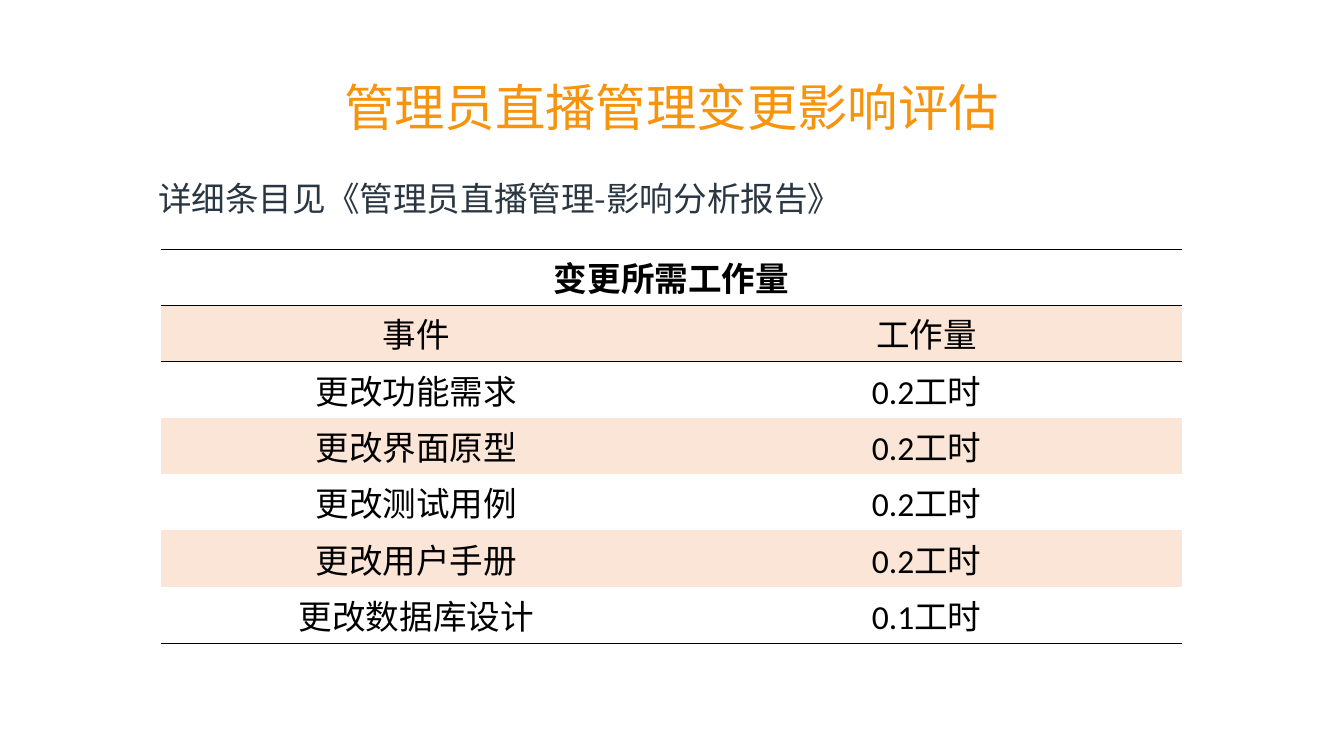
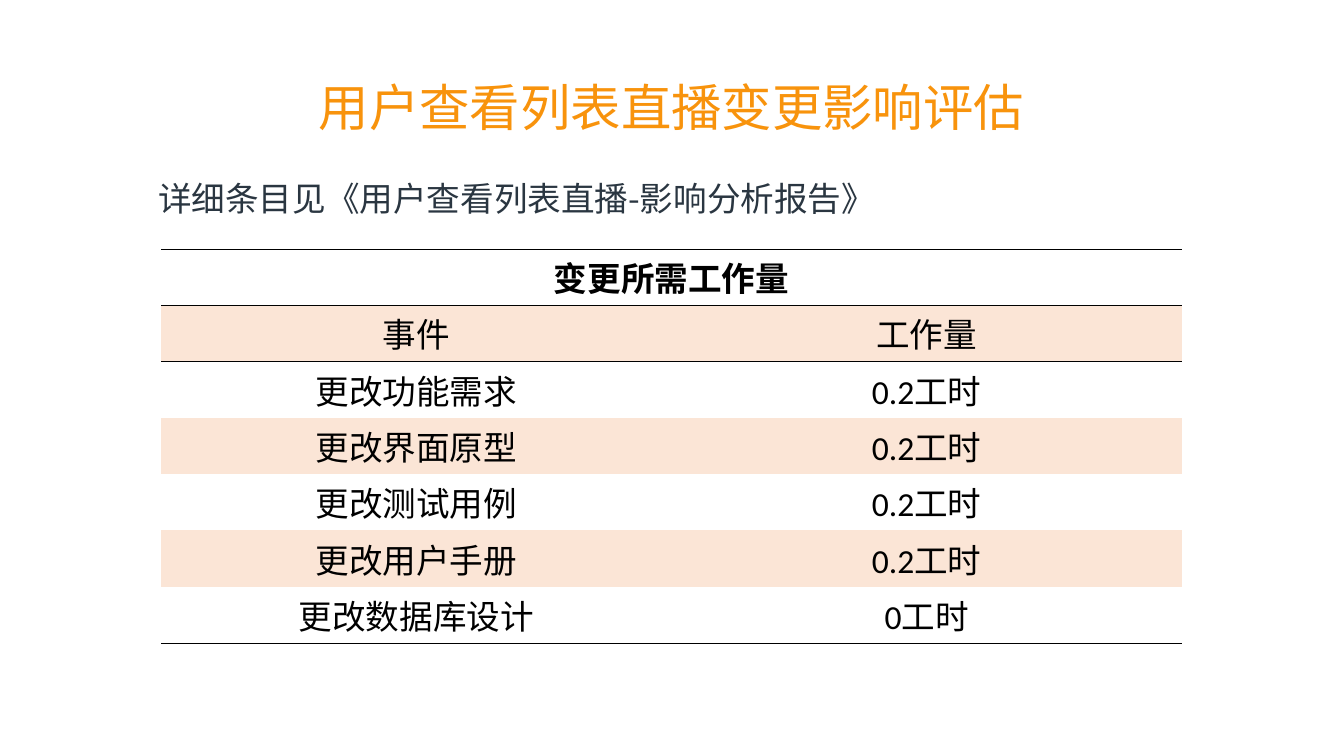
from lxml.etree import SubElement as Sub
from pptx import Presentation
from pptx.dml.color import RGBColor
from pptx.enum.text import MSO_ANCHOR as Anchor, PP_ALIGN as Align
from pptx.oxml.ns import qn
from pptx.util import Inches, Pt

ORANGE = RGBColor(0xF8, 0x93, 0x0C)
SLATE = RGBColor(0x2A, 0x36, 0x41)
BLACK = RGBColor(0, 0, 0)
PEACH = RGBColor(0xFB, 0xE5, 0xD6)
HAN = "Noto Sans CJK SC"
LATIN = "Calibri"
PLAIN = "{2D5ABB26-0587-4C30-8999-92F81FD0307C}"

TITLE_BOX = (2.8, 0.7, 7.73, 0.7)
NOTE_BOX = (1.02, 1.59, 11.29, 0.62)
TABLE_BOX = (1.6, 2.47, 10.13, 3.91)

HEAD = "变更所需工作量"
LABELS = ("事件", "工作量")
TASKS = ("更改功能需求", "更改界面原型", "更改测试用例", "更改用户手册", "更改数据库设计")
PAGES = (
    ("管理员直播管理", ("0.2", "0.2", "0.2", "0.2", "0.1")),
    ("用户查看列表直播", ("0.2", "0.2", "0.2", "0.2", "0")),
)


def write(frame, text, size, color, face=HAN, align=Align.CENTER, bold=False):
    """Set one line of text and format its run."""
    frame.text = text
    para = frame.paragraphs[0]
    para.alignment = align
    run = para.runs[0]
    font = run.font
    font.size, font.bold, font.name = Pt(size), bold, face
    font.color.rgb = color
    Sub(font._element, qn("a:ea")).set("typeface", HAN)
    return para


def add_title(slide, box, text):
    """Move and fill the title placeholder."""
    title = slide.shapes.title
    title.left, title.top, title.width, title.height = map(Inches, box)
    frame = title.text_frame
    frame.vertical_anchor = Anchor.MIDDLE
    frame.word_wrap = True
    write(frame, text, 36, ORANGE)


def add_note(slide, box, text):
    """Add the indented line under the title."""
    frame = slide.shapes.add_textbox(*map(Inches, box)).text_frame
    frame.word_wrap = True
    frame.vertical_anchor = Anchor.MIDDLE
    frame.margin_left = Inches(0.55)
    write(frame, text, 24, SLATE, align=Align.LEFT).line_spacing = 1.3


def add_rule(cell, side):
    """Draw a thin rule on one side of a cell."""
    line = Sub(cell._tc.get_or_add_tcPr(), qn("a:ln" + side), w=str(Pt(0.45)))
    fill = Sub(line, qn("a:solidFill"))
    Sub(fill, qn("a:srgbClr")).set("val", str(BLACK))


def add_grid(slide, box, rows):
    """Add the banded table with a merged heading row."""
    frame = slide.shapes.add_table(len(rows), 2, *map(Inches, box))
    table = frame.table
    table._tbl.tblPr.find(qn("a:tableStyleId")).text = PLAIN
    table.first_row = table.horz_banding = False
    rules = {0: "TB", 1: "T", len(rows) - 1: "B"}
    for i, row in enumerate(rows):
        for j, text in enumerate(row):
            cell = table.cell(i, j)
            cell.vertical_anchor = Anchor.MIDDLE
            cell.margin_top = cell.margin_bottom = Inches(0.03)
            for side in rules.get(i, ""):
                add_rule(cell, side)
            if i % 2:
                cell.fill.solid()
                cell.fill.fore_color.rgb = PEACH
            else:
                cell.fill.background()
            if text:
                write(cell.text_frame, text, 24, BLACK, LATIN, bold=i == 0)
    table.cell(0, 0).merge(table.cell(0, 1))


def add_page(deck, topic, hours):
    """Build one impact slide for a topic."""
    slide = deck.slides.add_slide(deck.slide_layouts[5])
    add_title(slide, TITLE_BOX, f"{topic}变更影响评估")
    add_note(slide, NOTE_BOX, f"详细条目见《{topic}-影响分析报告》")
    costs = [(task, f"{hour}工时") for task, hour in zip(TASKS, hours)]
    add_grid(slide, TABLE_BOX, [(HEAD, ""), LABELS, *costs])


def main():
    """Build and save the deck."""
    deck = Presentation()
    deck.slide_width, deck.slide_height = Inches(13.34), Inches(7.5)
    for topic, hours in PAGES:
        add_page(deck, topic, hours)
    deck.save("out.pptx")


if __name__ == "__main__":
    main()
